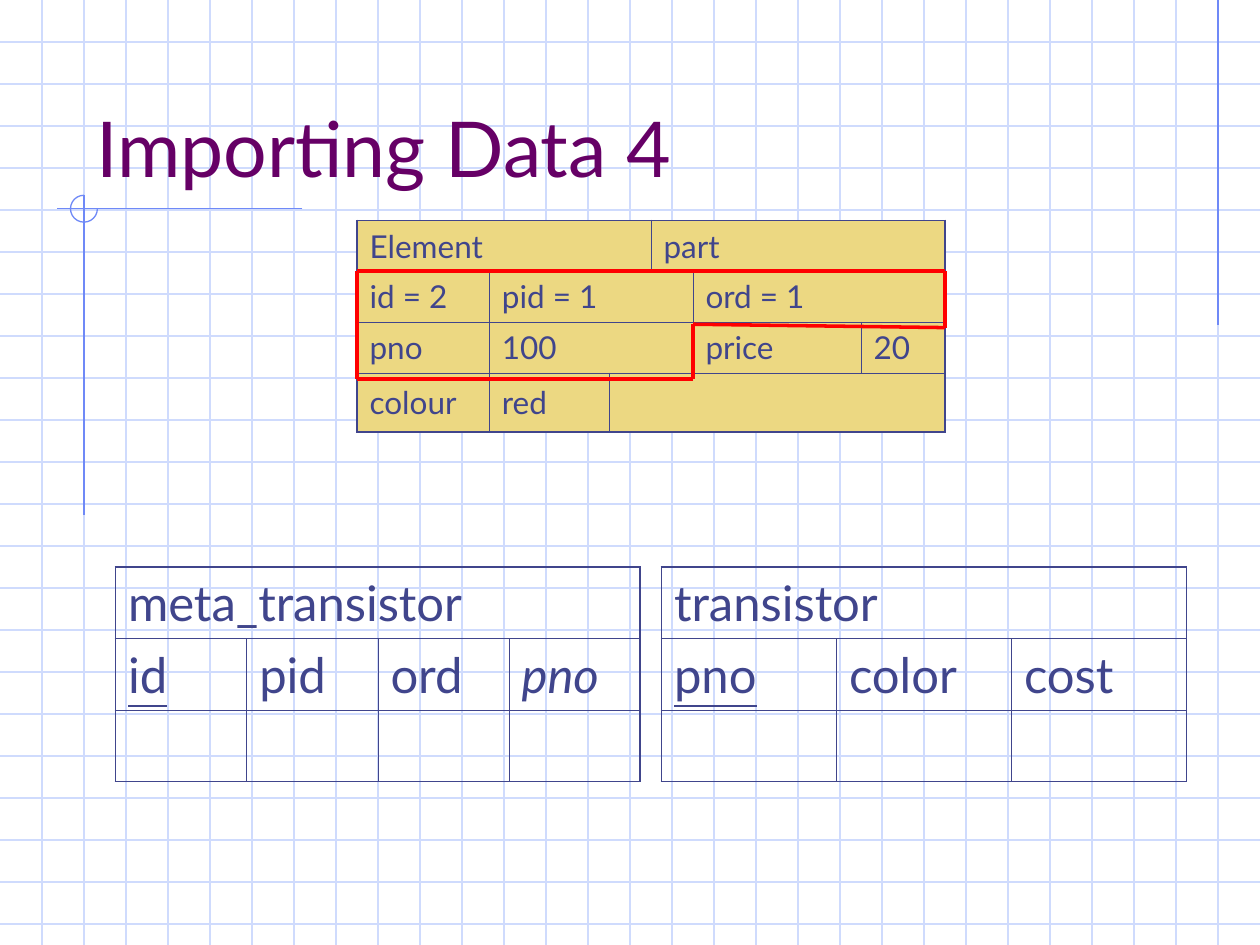
from dataclasses import dataclass

from lxml import etree
from pptx import Presentation
from pptx import util as u
from pptx.dml.color import RGBColor
from pptx.enum import shapes, text
from pptx.oxml.ns import qn


@dataclass(frozen=True)
class Theme:
    """Colours, type sizes, line widths and the grid of the slide."""
    font: str = "Lato"
    title: str = "660066"
    ink: str = "40458C"
    paper: str = "CFDBFD"
    accent: str = "6F89F7"
    mark: str = "FF0000"
    gold: str = "ECD882"
    title_size: int = 44
    table_size: int = 28
    element_size: int = 18
    blank_size: int = 22
    thin: float = 0.75
    bold: float = 2
    inner: float = 0.45
    outer: float = 1.08
    columns: float = 30
    rows: float = 22.5


THEME = Theme()


def grid(count):
    """Turn a number of grid steps into a length."""
    return u.Inches(count / 3)


def add_line(page, start, end, color, width=THEME.thin):
    """Draw a straight line between two grid points."""
    line = page.shapes.add_connector(
        shapes.MSO_CONNECTOR.STRAIGHT, *map(grid, (*start, *end)))
    line.line.color.rgb = RGBColor.from_string(color)
    line.line.width = u.Pt(width)
    etree.SubElement(line._element.spPr, qn("a:effectLst"))


def add_span(para, words, size, color, style=""):
    """Add one run, optionally underlined or italic."""
    span = para.add_run()
    span.text = words
    span.font.name = THEME.font
    span.font.size = u.Pt(size)
    span.font.color.rgb = RGBColor.from_string(color)
    if style == "underline":
        span.font.underline = True
    elif style == "italic":
        span.font.italic = True


def add_paper(page):
    """Rule the squared paper across the page."""
    for row in range(1, int(THEME.rows) + 1):
        add_line(page, (0, row), (THEME.columns, row), THEME.paper)
    for column in range(1, int(THEME.columns)):
        add_line(page, (column, 0), (column, THEME.rows), THEME.paper)


def add_ornament(page):
    """Draw the accent lines and the three-quarter circle at their crossing."""
    x, y, radius = 2, 4.97, 0.32
    add_line(page, (29, 0), (29, 7.75), THEME.accent)
    add_line(page, (7.2, y), (1.35, y), THEME.accent)
    add_line(page, (x, 4.65), (x, 12.27), THEME.accent)
    arc = page.shapes.add_shape(
        shapes.MSO_SHAPE.ARC,
        *map(grid, (x - radius, y - radius, 2 * radius, 2 * radius)))
    arc.adjustments[0], arc.adjustments[1] = 0, 162
    arc.shadow.inherit = False
    arc.fill.background()
    arc.line.color.rgb = RGBColor.from_string(THEME.accent)
    arc.line.width = u.Pt(THEME.thin)


def add_title(page, words):
    """Place the title above the horizontal accent line."""
    box = page.shapes.add_textbox(*map(grid, (2, 1, 25.5, 3.75)))
    frame = box.text_frame
    frame.word_wrap = True
    frame.vertical_anchor = text.MSO_ANCHOR.BOTTOM
    add_span(frame.paragraphs[0], words, THEME.title_size, THEME.title)


def set_borders(cell, outside):
    """Give outside edges the heavy line and the others the light one."""
    properties = cell._tc.get_or_add_tcPr()
    for index, side in enumerate("LRTB"):
        width = THEME.outer if side in outside else THEME.inner
        edge = etree.Element(qn(f"a:ln{side}"), w=str(u.Pt(width)))
        fill = etree.SubElement(edge, qn("a:solidFill"))
        etree.SubElement(fill, qn("a:srgbClr"), val=THEME.ink)
        properties.insert(index, edge)


def add_table(page, corner, widths, height, rows, size, blank_size, fill=None):
    """Build a table from rows of (words, columns spanned, style)."""
    frame = page.shapes.add_table(
        len(rows), len(widths),
        *map(grid, (*corner, sum(widths), height * len(rows))))
    table = frame.table
    table.first_row = table.horz_banding = False
    for column, width in zip(table.columns, widths):
        column.width = grid(width)
    for r, row in enumerate(rows):
        table.rows[r].height = grid(height)
        first = 0
        for words, count, style in row:
            last = first + count - 1
            if count > 1:
                table.cell(r, first).merge(table.cell(r, last))
            for c in range(first, last + 1):
                cell = table.cell(r, c)
                if fill:
                    cell.fill.solid()
                    cell.fill.fore_color.rgb = RGBColor.from_string(fill)
                else:
                    cell.fill.background()
                tests = {"L": first == 0, "R": last == len(widths) - 1,
                         "T": r == 0, "B": r == len(rows) - 1}
                set_borders(cell, [side for side in tests if tests[side]])
            cell = table.cell(r, first)
            cell.vertical_anchor = text.MSO_ANCHOR.MIDDLE
            para = cell.text_frame.paragraphs[0]
            if words:
                add_span(para, words, size, THEME.ink, style)
            else:
                para.font.name = THEME.font
                para.font.size = u.Pt(blank_size)
            first = last + 1


def add_element_table(page):
    """Add the filled table of the element and its properties."""
    rows = [
        [("Element", 3, ""), ("part", 3, "")],
        [("id = 2", 1, ""), ("pid = 1", 3, ""), ("ord = 1", 2, "")],
        [("pno", 1, ""), ("100", 3, ""), ("price", 1, ""), ("20", 1, "")],
        [("colour", 1, ""), ("red", 1, ""), ("", 4, "")],
    ]
    add_table(page, (8.5, 5.25), (3.15, 2.85, 1, 1, 4, 2), 1.21, rows,
              THEME.element_size, THEME.blank_size, THEME.gold)


def add_schema_table(page, left, name, fields):
    """Add an open table with a name, its fields and a blank row."""
    count = len(fields)
    rows = [[(name, count, "")],
            [(field, 1, style) for field, style in fields],
            [("", 1, "")] * count]
    add_table(page, (left, 13.5), [12.5 / count] * count, 1.7, rows,
              THEME.table_size, THEME.table_size)


def add_outline(page):
    """Mark the imported cells with a stepped red outline."""
    left, step, right = 8.5, 16.5, 22.5
    top, middle, bottom = 6.45, 7.72, 9.03
    corners = [(left, top), (right, top), (right, middle + 0.08),
               (step, middle), (step, bottom), (left, bottom)]
    for start, end in zip(corners, corners[1:] + corners[:1]):
        add_line(page, start, end, THEME.mark, THEME.bold)


def main():
    """Build and save the slide."""
    deck = Presentation()
    deck.slide_width, deck.slide_height = grid(THEME.columns), grid(THEME.rows)
    page = deck.slides.add_slide(deck.slide_layouts[6])
    add_paper(page)
    add_ornament(page)
    add_title(page, "Importing Data 4")
    add_element_table(page)
    add_schema_table(page, 2.75, "meta_transistor", [
        ("id", "underline"), ("pid", ""), ("ord", ""), ("pno", "italic")])
    add_outline(page)
    add_schema_table(page, 15.75, "transistor", [
        ("pno", "underline"), ("color", ""), ("cost", "")])
    deck.save("out.pptx")


if __name__ == "__main__":
    main()
